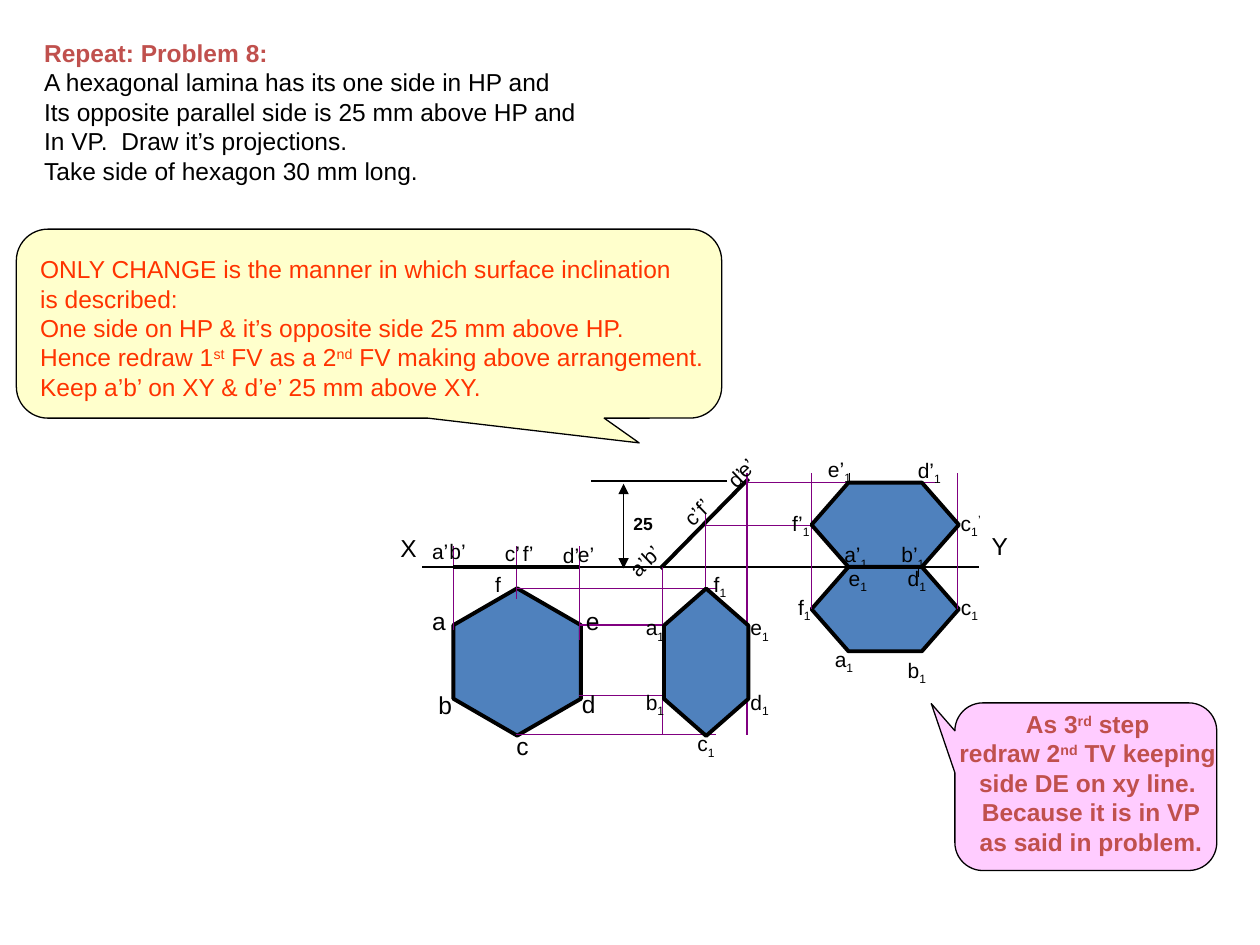
from dataclasses import dataclass

from lxml import etree
from pptx import Presentation
from pptx.dml.color import RGBColor
from pptx.enum.shapes import MSO_CONNECTOR, MSO_SHAPE
from pptx.enum.text import MSO_AUTO_SIZE, PP_ALIGN
from pptx.oxml.ns import qn
from pptx.util import Cm, Pt

BLACK = RGBColor(0x00, 0x00, 0x00)
PURPLE = RGBColor(0x80, 0x00, 0x80)
BLUE = RGBColor(0x4F, 0x81, 0xBD)
BRICK = RGBColor(0xC0, 0x50, 0x4D)
ORANGE = RGBColor(0xFF, 0x33, 0x00)
PINK = RGBColor(0xFF, 0xCC, 0xFF)
CREAM = RGBColor(0xFF, 0xFF, 0xCC)

HEXAGON = MSO_SHAPE.HEXAGON
CALLOUT = MSO_SHAPE.ROUNDED_RECTANGULAR_CALLOUT
STRAIGHT = MSO_CONNECTOR.STRAIGHT
LEFT, CENTER = PP_ALIGN.LEFT, PP_ALIGN.CENTER
FIT_SHAPE = MSO_AUTO_SIZE.SHAPE_TO_FIT_TEXT

FONT = "Arial"
LABEL_HEIGHTS = {10: 0.68, 12: 0.76, 14: 0.85}
BASELINES = {"^": "30000", "_": "-25000"}
TILT = 316.1

# Shared levels and projector positions, in centimetres
XY = 11.43
TOP, BOTTOM = 9.53, 14.81
HEXAGON_LENGTH, FLAT_WIDTH = 2.97, 1.7
EDGE_A, EDGE_C, EDGE_D = 9.14, 10.41, 11.68
SECOND_A, SECOND_C, SECOND_D = 13.36, 14.22, 15.06
THIRD_LEFT, THIRD_RIGHT = 16.36, 19.3


@dataclass
class Line:
    x1: float
    y1: float
    x2: float
    y2: float
    color: RGBColor = PURPLE
    width: float = 0.75
    arrows: bool = False


@dataclass
class Outline:
    kind: int
    left: float
    top: float
    width: float
    height: float
    fill: RGBColor
    adjustments: tuple[float, ...]
    line_width: float = 0.75
    rotation: float = 0


@dataclass
class Label:
    text: str  # "|^" starts superscript, "|_" starts subscript, "|" ends it
    left: float
    top: float
    width: float
    size: int = 12
    align: int = LEFT
    rotation: float = 0
    color: RGBColor = BLACK
    bold: bool = False
    wrap: bool = False
    height: float | None = None


def draw_line(slide, line: Line) -> None:
    connector = slide.shapes.add_connector(
        STRAIGHT, Cm(line.x1), Cm(line.y1), Cm(line.x2), Cm(line.y2))
    connector.line.color.rgb = line.color
    connector.line.width = Pt(line.width)
    if line.arrows:
        for end in ("a:headEnd", "a:tailEnd"):
            etree.SubElement(connector.line._get_or_add_ln(), qn(end), type="triangle")
    etree.SubElement(connector._element.spPr, qn("a:effectLst"))


def draw_outline(slide, outline: Outline) -> None:
    shape = slide.shapes.add_shape(outline.kind, Cm(outline.left), Cm(outline.top),
                                   Cm(outline.width), Cm(outline.height))
    for index, value in enumerate(outline.adjustments):
        shape.adjustments[index] = value
    shape.rotation = outline.rotation
    shape.shadow.inherit = False
    shape.fill.solid()
    shape.fill.fore_color.rgb = outline.fill
    shape.line.color.rgb = BLACK
    shape.line.width = Pt(outline.line_width)


def draw_label(slide, label: Label):
    height = label.height or LABEL_HEIGHTS[label.size]
    box = slide.shapes.add_textbox(Cm(label.left), Cm(label.top), Cm(label.width), Cm(height))
    box.rotation = label.rotation
    text_frame = box.text_frame
    text_frame.word_wrap = label.wrap
    text_frame.auto_size = FIT_SHAPE
    for index, text in enumerate(label.text.split("\n")):
        paragraph = text_frame.add_paragraph() if index else text_frame.paragraphs[0]
        paragraph.alignment = label.align
        for part in text.split("|"):
            run = paragraph.add_run()
            run.text = part.lstrip("^_")
            run.font.name = FONT
            run.font.size = Pt(label.size)
            run.font.bold = label.bold
            run.font.color.rgb = label.color
            if part[0] in BASELINES:
                run._r.get_or_add_rPr().set("baseline", BASELINES[part[0]])
    return box


def hexagon(left: float, top: float, height: float = FLAT_WIDTH,
            adjustment: float = 0.438, rotation: float = 0) -> Outline:
    return Outline(HEXAGON, left, top, HEXAGON_LENGTH, height, BLUE,
                   (adjustment,), 2.25, rotation)


# Parts of the drawing, from back to front
DRAWING = [
    # First views
    hexagon(8.94, 12.06, 2.57, 0.289, 90),
    Line(8.51, XY, 19.74, XY, BLACK),
    *(Line(x, bottom, x, 11) for x, bottom in
      ((EDGE_A, 12.7), (EDGE_D, 12.9), (EDGE_C, 12.07))),
    Line(EDGE_A, XY, EDGE_D, XY, BLACK, 2.25),
    # Second views
    Line(13.31, 11.46, 15.09, 9.65, BLACK, 2.25),
    *(Line(x, top, x, BOTTOM) for x, top in
      ((SECOND_D, TOP), (SECOND_C, 10.36), (SECOND_A, XY))),
    *(Line(x, y, 14.43, y) for x, y in
      ((EDGE_C, 11.86), (EDGE_D, 12.6), (EDGE_D, 14.02), (EDGE_C, BOTTOM))),
    hexagon(12.75, 12.5, rotation=90),
    # Third views
    hexagon(THIRD_LEFT, XY),
    Line(THIRD_LEFT, 12.27, THIRD_LEFT, TOP),
    Line(17.12, XY, 17.12, TOP, BLACK),
    Line(18.52, 11.63, 18.52, 9.73, BLACK),
    Line(THIRD_RIGHT, 12.27, THIRD_RIGHT, TOP),
    Line(SECOND_D, 9.73, 18.87, 9.73),
    Line(SECOND_C, 10.59, 18.87, 10.59),
    hexagon(THIRD_LEFT, XY - FLAT_WIDTH),
    # Height dimension
    Line(14.66, 9.7, 11.91, 9.7, BLACK),
    Line(12.57, 9.75, 12.57, 11.46, BLACK, 0.25, True),
]

AXIS_AND_FIRST_TOP_VIEW = [
    ("X", 7.82, 10.62, 0.84), ("Y", 19.74, 10.59, 0.84),
    ("a", 8.46, 12.09, 0.79), ("b", 8.59, 13.79, 0.79), ("c", 10.16, 14.61, 0.76),
    ("d", 11.48, 13.77, 0.79), ("e", 11.56, 12.09, 0.79),
]
FIRST_FRONT_VIEW = [
    ("f", 9.73, 11.4, 0.64),
    ("f’", 10.29, 10.77, 0.8), ("e’", 11.4, 10.8, 0.84), ("d’", 11.1, 10.82, 0.84),
    ("c’", 9.93, 10.77, 0.81), ("b’", 8.81, 10.74, 0.84), ("a’", 8.46, 10.74, 0.89),
]
TILTED_FRONT_VIEW = [
    ("f’", 13.79, 9.8, 0.8), ("e’", 14.61, 9.04, 0.84), ("d’", 14.43, 9.25, 0.84),
    ("c’", 13.56, 10.03, 0.81), ("b’", 12.7, 10.8, 0.84), ("a’", 12.45, 11.02, 0.89),
]
SUBSCRIPTED = [
    # Second top view
    ("a", 12.75, 12.27, 0.91), ("b", 12.75, 13.77, 0.91), ("c", 13.79, 14.61, 0.89),
    ("d", 14.86, 13.77, 0.91), ("e", 14.86, 12.27, 0.91), ("f", 14.12, 11.4, 0.79),
    # Third front view
    ("b’", 17.91, 10.8, 0.99), ("a’", 16.76, 10.8, 0.99), ("f’", 15.7, 10.16, 0.89),
    ("d’", 18.24, 9.09, 0.99), ("e’", 16.43, 9.07, 0.99),
    # Third top view
    ("f", 15.82, 11.86, 0.79), ("a", 16.56, 12.9, 0.91), ("c", 19.1, 11.86, 0.89),
    ("b", 18.03, 13.13, 0.91), ("d", 18.03, 11.28, 0.91), ("e", 16.84, 11.28, 0.91),
]
LABELS = [
    *(Label(*entry, size=14) for entry in AXIS_AND_FIRST_TOP_VIEW),
    *(Label(*entry) for entry in FIRST_FRONT_VIEW),
    *(Label(*entry, rotation=TILT) for entry in TILTED_FRONT_VIEW),
    *(Label(f"{text}|_1", *place, align=CENTER) for text, *place in SUBSCRIPTED),
    Label("c|_1|^’", 19.1, 10.16, 0.94, align=CENTER),
    Label("25", 12.52, 10.21, 0.89, 10, CENTER, bold=True),
]

PROBLEM = Label(
    "Repeat: Problem 8:\nA hexagonal lamina has its one side in HP and\n"
    "Its opposite parallel side is 25 mm above HP and\n"
    "In VP.  Draw it’s projections.\nTake side of hexagon 30 mm long.",
    0.64, 0.64, 11.23, 14, height=3.25)
CHANGE_NOTE = Label(
    "ONLY CHANGE is the manner in which surface inclination\nis described:\n"
    "One side on HP & it’s opposite side 25 mm above HP.\n"
    "Hence redraw 1|^st| FV as a 2|^nd| FV making above arrangement.\n"
    "Keep a’b’ on XY & d’e’ 25 mm above XY.",
    0.56, 5, 15.01, 14, color=ORANGE, wrap=True, height=3.25)
STEP_NOTE = Label(
    "As 3|^rd| step \nredraw 2|^nd| TV keeping \nside DE on xy line. \n"
    "Because it is in VP\n as said in problem. ",
    19.05, 14.17, 5.89, 14, CENTER, color=BRICK, bold=True, height=3.25)


def main() -> None:
    presentation = Presentation()
    presentation.slide_width, presentation.slide_height = Cm(25.4), Cm(19.05)
    slide = presentation.slides.add_slide(presentation.slide_layouts[6])

    # Step note with its callout
    draw_outline(slide, Outline(CALLOUT, 19.25, 14.17, 5.28, 3.38, PINK, (-0.59, -0.495, 0.167)))
    draw_label(slide, STEP_NOTE)

    # Projections and their letters
    for part in DRAWING:
        if isinstance(part, Line):
            draw_line(slide, part)
        else:
            draw_outline(slide, part)
    for label in LABELS:
        draw_label(slide, label)

    # Problem statement with a highlighted heading
    heading = draw_label(slide, PROBLEM).text_frame.paragraphs[0].runs[0]
    heading.font.bold = True
    heading.font.color.rgb = BRICK

    # Note on the change with its callout
    draw_outline(slide, Outline(CALLOUT, 0.33, 4.62, 14.22, 3.81, CREAM, (0.383, 0.631, 0.167)))
    draw_label(slide, CHANGE_NOTE)

    presentation.save("out.pptx")


if __name__ == "__main__":
    main()
